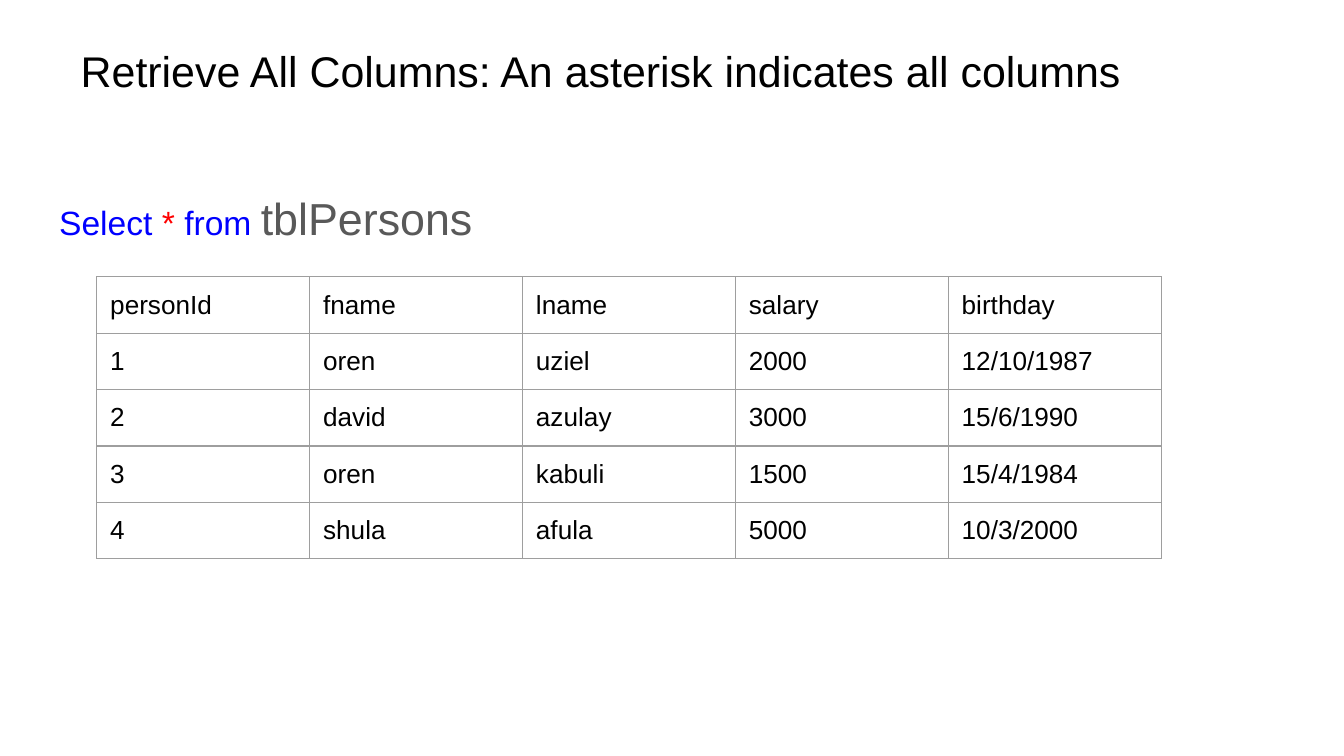
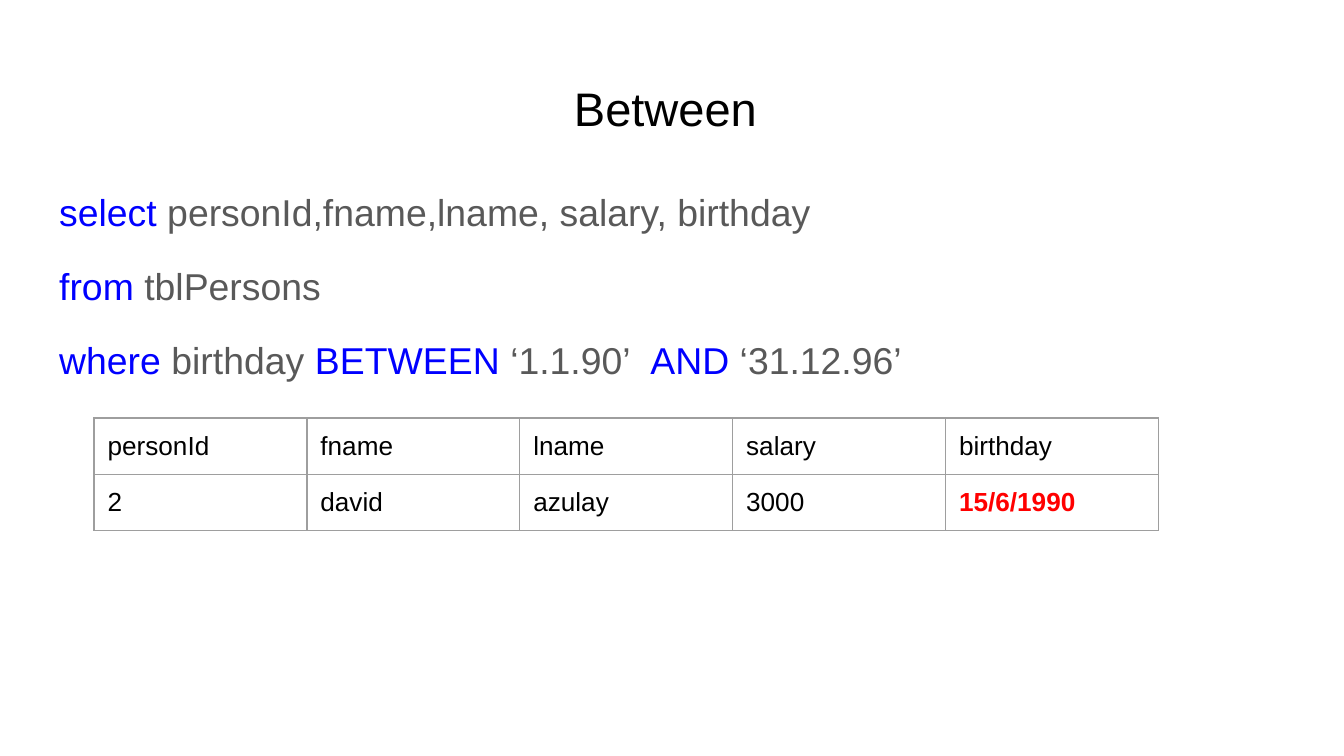
import pptx
import pptx.dml.color
import pptx.enum.text
import pptx.oxml.ns
import pptx.util
from lxml import etree

Inches = pptx.util.Inches
Pt = pptx.util.Pt
Align = pptx.enum.text.PP_ALIGN

FONT = "Arial"
BLACK = "000000"
GREY = "595959"
BLUE = "0000FF"
RED = "FF0000"
BORDER = "9E9E9E"
BODY_BOX = (0.34, 1.26, 9.32, 3.74)
TABLE_WIDTH = 7.92
ROW_HEIGHT = 0.42

HEADER = ["personId", "fname", "lname", "salary", "birthday"]
PERSONS = [
    ["1", "oren", "uziel", "2000", "12/10/1987"],
    ["2", "david", "azulay", "3000", "15/6/1990"],
    ["3", "oren", "kabuli", "1500", "15/4/1984"],
    ["4", "shula", "afula", "5000", "10/3/2000"],
]


def color(value):
    return pptx.dml.color.RGBColor.from_string(value)


def style(font, size=None, value=None):
    font.name = FONT
    if size:
        font.size = Pt(size)
    if value:
        font.color.rgb = color(value)


def place(shape, box):
    shape.left, shape.top, shape.width, shape.height = map(Inches, box)
    frame = shape.text_frame
    frame.margin_left = frame.margin_right = Inches(0.1)
    frame.margin_top = frame.margin_bottom = Inches(0.1)
    frame.vertical_anchor = pptx.enum.text.MSO_ANCHOR.TOP
    frame.word_wrap = True
    frame.auto_size = pptx.enum.text.MSO_AUTO_SIZE.NONE
    return frame


def add_title(page, box, text, size, align):
    para = place(page.shapes.title, box).paragraphs[0]
    para.text = text
    para.alignment = align
    style(para.font, size, BLACK)


def add_query(page, box, lines, size):
    frame = place(page.placeholders[1], box)
    for index, spans in enumerate(lines):
        para = frame.add_paragraph() if index else frame.paragraphs[0]
        properties = para._p.get_or_add_pPr()
        properties.set("marL", "0")
        properties.set("indent", "0")
        para.line_spacing = 1.15
        para.space_before = Pt(12 if index else 0)
        etree.SubElement(properties, pptx.oxml.ns.qn("a:buNone"))
        style(para.font, size)
        for text, value, *span_size in spans:
            span = para.add_run()
            span.text = text
            span.font.color.rgb = color(value)
            if span_size:
                span.font.size = Pt(span_size[0])


def add_borders(cell):
    properties = cell._tc.get_or_add_tcPr()
    for side in ("lnL", "lnR", "lnT", "lnB"):
        line = etree.SubElement(properties, pptx.oxml.ns.qn("a:" + side), w=str(Pt(0.75)))
        fill = etree.SubElement(line, pptx.oxml.ns.qn("a:solidFill"))
        etree.SubElement(fill, pptx.oxml.ns.qn("a:srgbClr"), val=BORDER)


def add_result(page, left, top, persons, highlight=None):
    rows = [HEADER] + persons
    table = page.shapes.add_table(
        len(rows), len(HEADER), Inches(left), Inches(top),
        Inches(TABLE_WIDTH), Inches(ROW_HEIGHT * len(rows)),
    ).table
    table.first_row = table.horz_banding = False
    for row_index, row in enumerate(rows):
        for column_index, text in enumerate(row):
            cell = table.cell(row_index, column_index)
            cell.margin_left = cell.margin_right = Inches(0.1)
            cell.margin_top = cell.margin_bottom = Inches(0.1)
            add_borders(cell)
            cell.fill.background()
            para = cell.text_frame.paragraphs[0]
            para.text = text
            marked = (row_index, column_index) == highlight
            style(para.font, 14, RED if marked else BLACK)
            para.font.bold = marked


def add_page(deck):
    return deck.slides.add_slide(deck.slide_layouts[1])


def build_all_columns(deck):
    page = add_page(deck)
    add_title(page, (0.5, 0.23, 9, 0.61),
              "Retrieve All Columns: An asterisk indicates all columns", 23, Align.LEFT)
    add_query(page, BODY_BOX, [
        [("Select ", BLUE), ("* ", RED), ("from ", BLUE), ("tblPersons", GREY, 24)],
    ], 18)
    add_result(page, 0.72, 2.06, PERSONS)


def build_between(deck):
    page = add_page(deck)
    add_title(page, (0.34, 0.49, 9.32, 0.63), "Between ", 25.2, Align.CENTER)
    add_query(page, BODY_BOX, [
        [("select", BLUE), (" personId,fname,lname, salary, birthday", GREY)],
        [("from", BLUE), (" tblPersons", GREY)],
        [("where", BLUE), (" birthday ", GREY), ("BETWEEN", BLUE),
         (" ‘1.1.90’  ", GREY), ("AND", BLUE), (" ‘31.12.96’", GREY)],
    ], 20)
    add_result(page, 0.7, 3.11, PERSONS[1:2], highlight=(1, 4))


def main():
    deck = pptx.Presentation()
    deck.slide_width = Inches(10)
    deck.slide_height = deck.slide_width * 9 // 16
    build_all_columns(deck)
    build_between(deck)
    deck.save("out.pptx")


if __name__ == "__main__":
    main()
